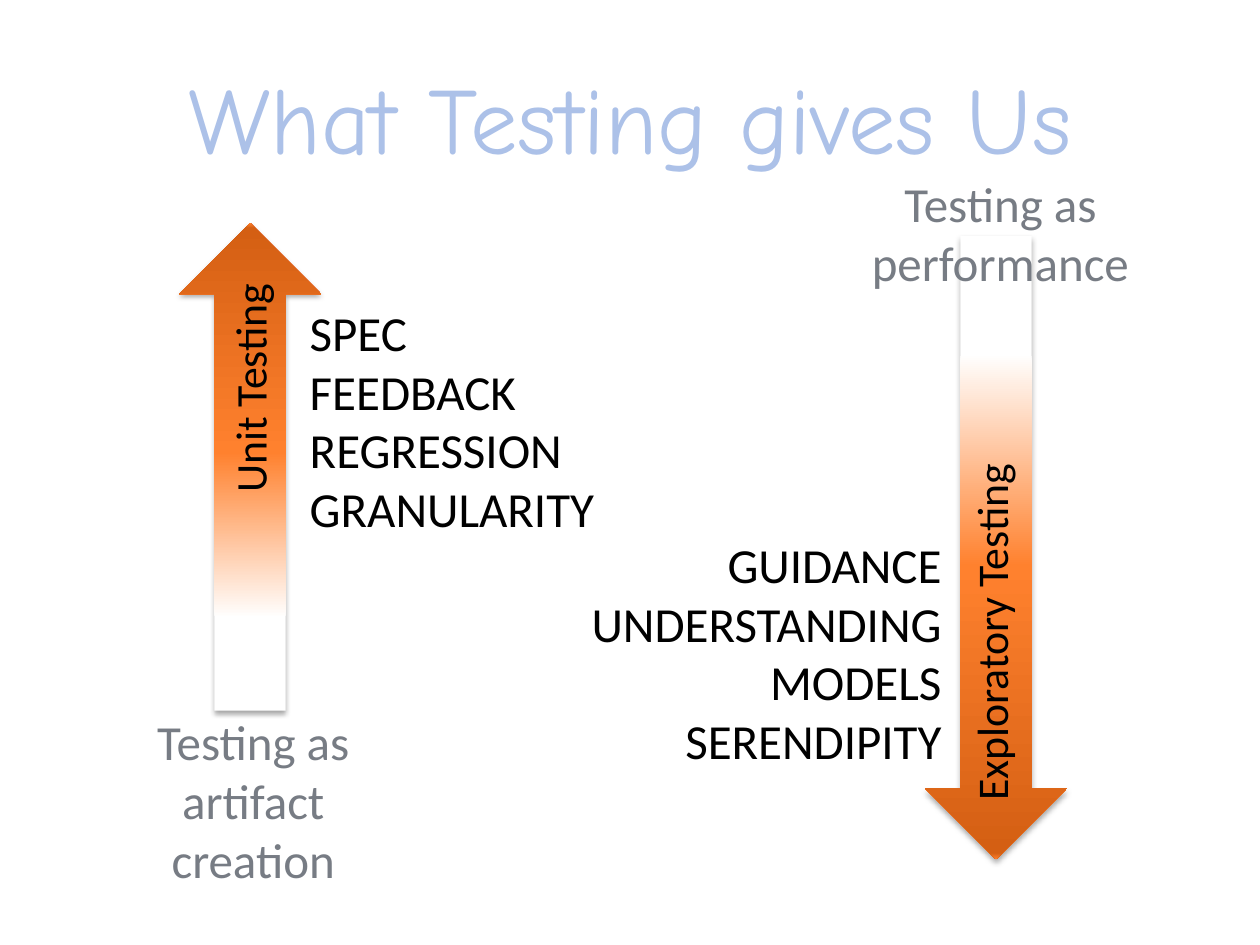
from dataclasses import dataclass

import pptx
import pptx.dml.color
import pptx.enum.shapes
import pptx.enum.text
import pptx.oxml
import pptx.oxml.ns
import pptx.util
from pptx.util import Inches

ALIGN = pptx.enum.text.PP_ALIGN
ARROW_STOPS = ((19, "FFFFFF"), (53, "FF812E"), (99, "D45F13"), (100, "FF802C"))
BLACK = "000000"
GREY = "777C84"
TITLE_BLUE = "ACC1E8"


@dataclass
class Arrow:
    left: float
    top: float
    width: float
    height: float
    rotation: float = 0


@dataclass
class Label:
    lines: tuple[str, ...]
    left: float
    top: float
    width: float
    height: float
    size: float = 28
    color: str = BLACK
    align: ALIGN = ALIGN.LEFT
    rotation: float = 0
    wrap: bool = True


ARROWS = (
    Arrow(1.42, 1.77, 1.13, 3.87),
    Arrow(7.34, 1.87, 1.13, 4.95, rotation=180),
)
LABELS = (
    Label(("Unit Testing",), 1.02, 2.79, 1.92, 0.52, size=25, rotation=270, wrap=False),
    Label(("Exploratory Testing",), 6.39, 4.72, 2.95, 0.52, size=25, rotation=270, wrap=False),
    Label(("SPEC", "FEEDBACK", "REGRESSION", "GRANULARITY"), 2.36, 2.35, 2.49, 1.99, wrap=False),
    Label(("GUIDANCE", "UNDERSTANDING", "MODELS", "SERENDIPITY"), 3.47, 4.19, 4.1, 1.99,
          align=ALIGN.RIGHT),
    Label(("Testing as artifact creation",), 0.83, 5.6, 2.36, 1.51, color=GREY,
          align=ALIGN.CENTER),
    Label(("Testing as performance",), 6.76, 1.33, 2.36, 1.04, color=GREY,
          align=ALIGN.CENTER),
)


def rgb(value: str) -> pptx.dml.color.RGBColor:
    return pptx.dml.color.RGBColor.from_string(value)


def add_text(para, text: str, *, size: float, color: str, font: str = "Calibri",
             align: ALIGN = ALIGN.LEFT) -> None:
    para.alignment = align
    span = para.add_run()
    span.text = text
    span.font.name = font
    span.font.size = pptx.util.Pt(size)
    span.font.color.rgb = rgb(color)


def place(shape, left: float, top: float, width: float, height: float) -> None:
    shape.left, shape.top = Inches(left), Inches(top)
    shape.width, shape.height = Inches(width), Inches(height)


def draw_arrow(page, arrow: Arrow) -> None:
    shape = page.shapes.add_shape(
        pptx.enum.shapes.MSO_SHAPE.UP_ARROW, Inches(arrow.left), Inches(arrow.top),
        Inches(arrow.width), Inches(arrow.height))
    shape.rotation = arrow.rotation
    shape.line.fill.background()
    shape.fill.gradient()
    shape.fill.gradient_angle = 90
    shape.shadow.inherit = False

    namespace = pptx.oxml.ns.nsdecls("a")
    properties = shape.element.spPr
    stops = properties.find(".//" + pptx.oxml.ns.qn("a:gsLst"))
    for stop in list(stops):
        stops.remove(stop)
    for percent, color in ARROW_STOPS:
        stops.append(pptx.oxml.parse_xml(
            f'<a:gs {namespace} pos="{percent * 1000}"><a:srgbClr val="{color}"/></a:gs>'))
    effects = properties.find(pptx.oxml.ns.qn("a:effectLst"))
    effects.append(pptx.oxml.parse_xml(
        f'<a:outerShdw {namespace} blurRad="{pptx.util.Pt(3.1)}" dist="{pptx.util.Pt(1.8)}" '
        'dir="5400000" rotWithShape="0"><a:srgbClr val="000000">'
        '<a:alpha val="35000"/></a:srgbClr></a:outerShdw>'))


def draw_label(page, label: Label) -> None:
    box = page.shapes.add_textbox(
        Inches(label.left), Inches(label.top), Inches(label.width), Inches(label.height))
    box.rotation = label.rotation
    frame = box.text_frame
    frame.word_wrap = label.wrap
    frame.auto_size = pptx.enum.text.MSO_AUTO_SIZE.SHAPE_TO_FIT_TEXT
    for index, line in enumerate(label.lines):
        para = frame.add_paragraph() if index else frame.paragraphs[0]
        add_text(para, line, size=label.size, color=label.color, align=label.align)


def main() -> None:
    deck = pptx.Presentation()
    deck.slide_width, deck.slide_height = Inches(10), Inches(7.5)
    page = deck.slides.add_slide(deck.slide_layouts.get_by_name("Title Only"))

    for arrow in ARROWS:
        draw_arrow(page, arrow)

    title = page.shapes.title
    place(title, 0.5, 0.3, 9, 1.25)
    title.text_frame.vertical_anchor = pptx.enum.text.MSO_ANCHOR.MIDDLE
    add_text(title.text_frame.paragraphs[0], "What Testing gives Us", size=54,
             color=TITLE_BLUE, font="Comic Neue", align=ALIGN.CENTER)

    for label in LABELS:
        draw_label(page, label)

    deck.save("out.pptx")


if __name__ == "__main__":
    main()
